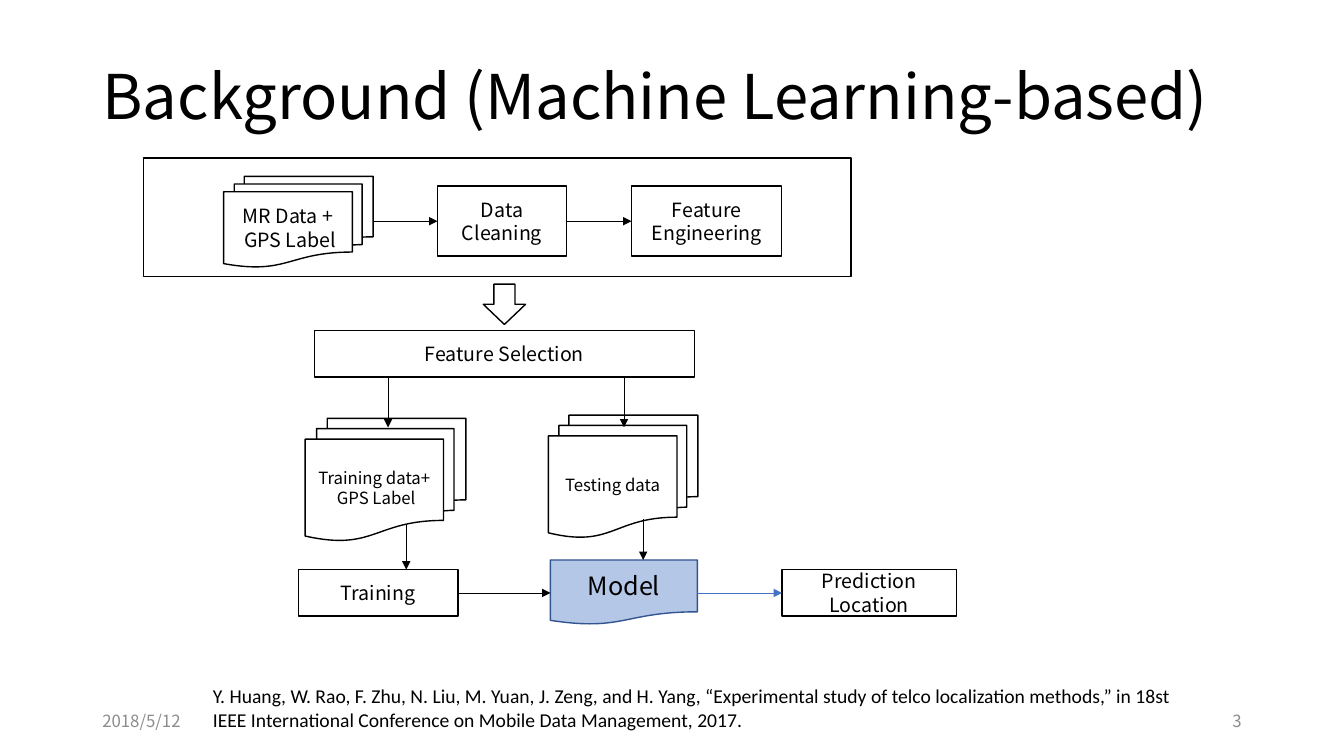
from lxml import etree
from pptx import Presentation
from pptx.dml.color import RGBColor
from pptx.enum.shapes import MSO_CONNECTOR, MSO_SHAPE
from pptx.enum.text import MSO_ANCHOR, MSO_AUTO_SIZE, PP_ALIGN
from pptx.oxml.ns import qn
from pptx.util import Pt

RECT, DOC = MSO_SHAPE.RECTANGLE, MSO_SHAPE.FLOWCHART_DOCUMENT
DOCS, DOWN = MSO_SHAPE.FLOWCHART_MULTIDOCUMENT, MSO_SHAPE.DOWN_ARROW
LEFT, CENTER, RIGHT = PP_ALIGN.LEFT, PP_ALIGN.CENTER, PP_ALIGN.RIGHT
TOP, MIDDLE = MSO_ANCHOR.TOP, MSO_ANCHOR.MIDDLE
SIDE_LEFT, SIDE_RIGHT = 1, 3

THEME = {
    "font": "Noto Sans CJK SC", "cite_font": "Calibri",
    "ink": RGBColor.from_string("000000"), "paper": RGBColor.from_string("FFFFFF"),
    "muted": RGBColor.from_string("8C8C8C"), "accent": RGBColor.from_string("4472C4"),
    "model": RGBColor.from_string("B4C7E7"), "model_edge": RGBColor.from_string("325491"),
    "title": 44, "large": 18, "body": 14, "small": 12,
    "edge": 1, "arrow": 0.5,
}


def write(sp, text, size, color="ink", font="font", align=CENTER, anchor=MIDDLE):
    tf = sp.text_frame
    frame = {"word_wrap": True, "auto_size": MSO_AUTO_SIZE.NONE, "vertical_anchor": anchor}
    for name, value in frame.items():
        setattr(tf, name, value)
    for i, line in enumerate(text.split("\n")):
        p = tf.paragraphs[0] if i == 0 else tf.add_paragraph()
        p.alignment = align
        r = p.add_run()
        r.text = line
        for name, value in {"size": Pt(THEME[size]), "name": THEME[font]}.items():
            setattr(r.font, name, value)
        r.font.color.rgb = THEME[color]
        ea = etree.SubElement(r.font._element, qn("a:ea"))
        ea.set("typeface", THEME[font])


prs = Presentation()
prs.slide_width, prs.slide_height = Pt(960), Pt(540)
s = prs.slides.add_slide(prs.slide_layouts[5])

# Title
title = s.shapes.title
for name, value in {"left": 66, "top": 18.7, "width": 828, "height": 104.4}.items():
    setattr(title, name, Pt(value))
write(title, "Background (Machine Learning-based)", "title", align=LEFT)
title.text_frame.paragraphs[0].line_spacing = 0.9

# Flow nodes: key, kind, left, top, width, height, text, size, fill, edge
nodes = [
    ("stage", RECT, 102.6, 113, 505.2, 84.6, "", "body", None, "ink"),
    ("mr", DOCS, 159.8, 126, 106.8, 64.8, "MR Data +\n GPS Label", "body", "paper", "ink"),
    ("cleaning", RECT, 312.5, 133, 92.2, 50, "Data\nCleaning", "body", "paper", "ink"),
    ("engineering", RECT, 451.1, 133, 107.3, 50, "Feature\nEngineering", "body", "paper", "ink"),
    ("down", DOWN, 345.2, 203, 30.2, 28.8, "", "body", "paper", "ink"),
    ("selection", RECT, 224.6, 236, 271.4, 33.4, "Feature Selection", "body", "paper", "ink"),
    ("train_data", DOCS, 218, 298.8, 114.8, 87.4, "Training data+\n GPS Label", "small", "paper", "ink"),
    ("test_data", DOCS, 391.7, 296.5, 106.8, 87.4, "Testing data", "small", "paper", "ink"),
    ("training", RECT, 213.1, 406.8, 114, 33.4, "Training", "body", "paper", "ink"),
    ("model", DOC, 393.2, 400, 105, 46.2, "Model", "large", "model", "model_edge"),
    ("prediction", RECT, 558.6, 406.8, 124.6, 33.4, "Prediction Location", "body", "paper", "ink"),
]
shapes = {}
for key, kind, x, y, w, h, text, size, fill, edge in nodes:
    sp = s.shapes.add_shape(kind, Pt(x), Pt(y), Pt(w), Pt(h))
    sp.shadow.inherit = False
    if fill:
        sp.fill.solid()
        sp.fill.fore_color.rgb = THEME[fill]
    else:
        sp.fill.background()
    sp.line.color.rgb = THEME[edge]
    sp.line.width = Pt(THEME["edge"])
    if text:
        write(sp, text, size)
    shapes[key] = sp

# Arrows: start, end, color, node joined at start, node joined at end
arrows = [
    ((266.8, 158), (312.5, 158), "ink", None, "cleaning"),
    ((404.7, 158), (451.1, 158), "ink", "cleaning", "engineering"),
    ((277.2, 269.4), (277.2, 305.3), "ink", None, None),
    ((445.7, 269.4), (445.7, 305.3), "ink", None, None),
    ((290.2, 375.1), (290.2, 406.8), "ink", None, None),
    ((459.4, 370.8), (459.4, 400), "ink", None, None),
    ((327.1, 423.5), (393.2, 423.5), "ink", "training", None),
    ((498.2, 423.5), (558.6, 423.5), "accent", None, "prediction"),
]
for start, end, color, source, target in arrows:
    line = s.shapes.add_connector(MSO_CONNECTOR.STRAIGHT, *map(Pt, start + end))
    if source:
        line.begin_connect(shapes[source], SIDE_RIGHT)
    if target:
        line.end_connect(shapes[target], SIDE_LEFT)
    line.line.color.rgb = THEME[color]
    line.line.width = Pt(THEME["arrow"])
    sp_pr = line._element.spPr
    etree.SubElement(sp_pr.find(qn("a:ln")), qn("a:tailEnd")).set("type", "triangle")
    etree.SubElement(sp_pr, qn("a:effectLst"))

# Footer and citation
citation = (
    "Y. Huang, W. Rao, F. Zhu, N. Liu, M. Yuan, J. Zeng, and H. Yang, "
    "“Experimental study of telco localization methods,” in 18st IEEE "
    "International Conference on Mobile Data Management, 2017."
)
notes = [
    (66, 500.5, 216, 28.8, "2018/5/12", "small", "muted", "font", LEFT, MIDDLE),
    (678, 500.5, 216, 28.8, "3", "small", "muted", "font", RIGHT, MIDDLE),
    (145, 485.3, 708.5, 41, citation, "body", "ink", "cite_font", LEFT, TOP),
]
for x, y, w, h, *content in notes:
    write(s.shapes.add_textbox(Pt(x), Pt(y), Pt(w), Pt(h)), *content)

prs.save("out.pptx")
